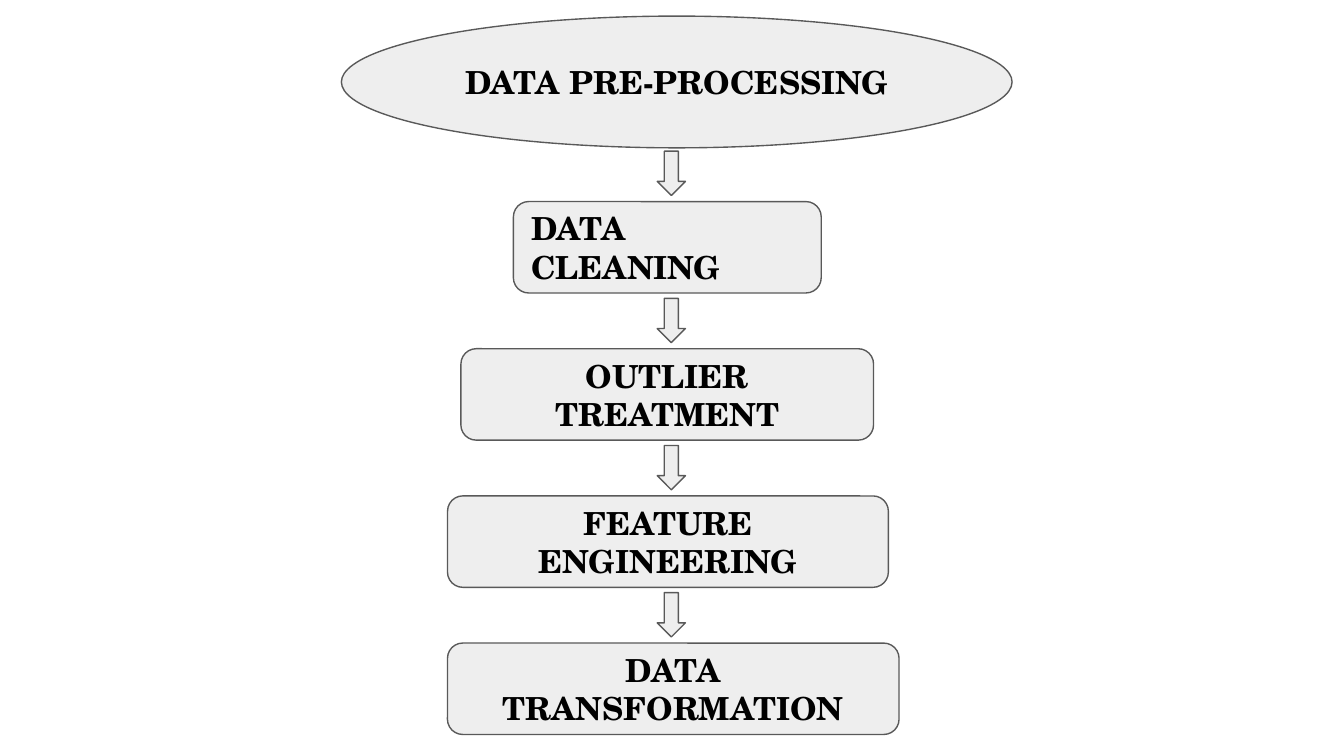
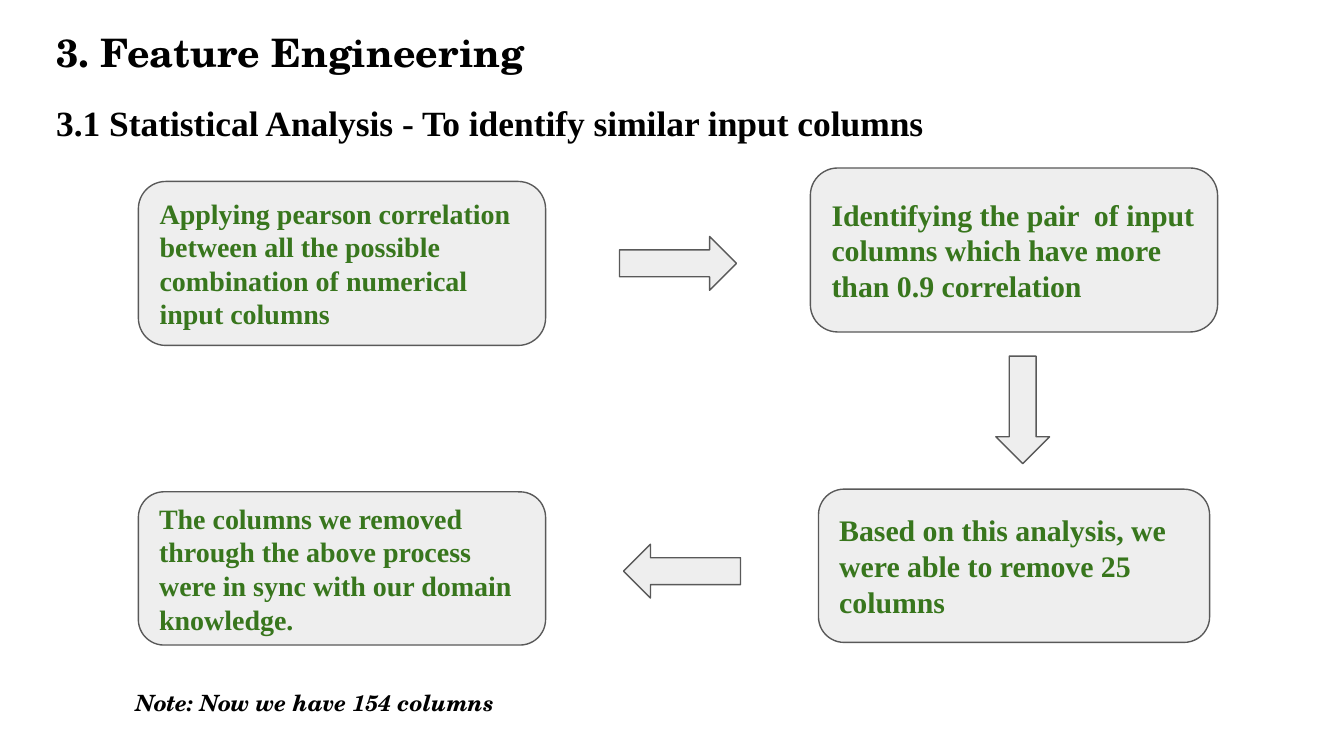
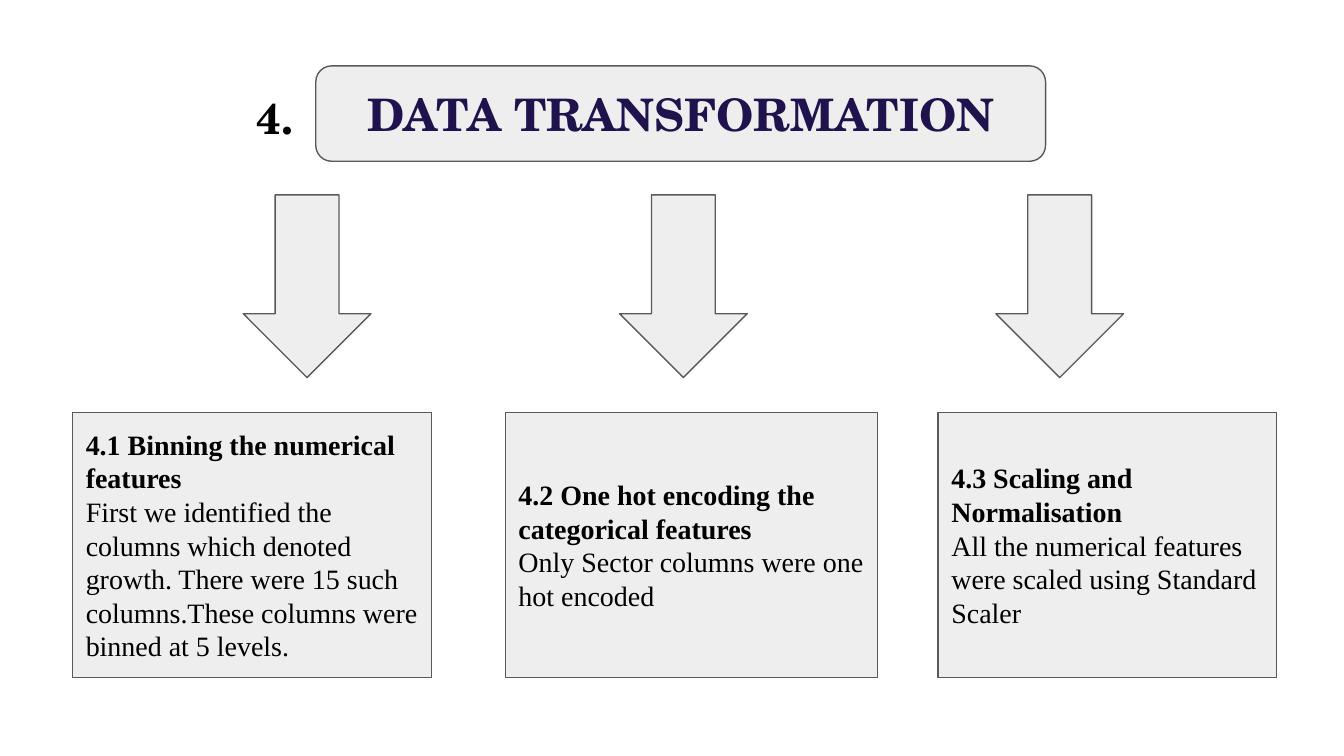
from pptx import Presentation
from pptx.dml.color import RGBColor
from pptx.enum.shapes import MSO_SHAPE as SHAPE
from pptx.enum.text import MSO_ANCHOR as ANCHOR, PP_ALIGN as ALIGN
from pptx.util import Inches, Pt

GREY = RGBColor(0xEE, 0xEE, 0xEE)
EDGE = RGBColor(0x59, 0x59, 0x59)
BLACK = RGBColor(0x00, 0x00, 0x00)
GREEN = RGBColor(0x38, 0x76, 0x1D)
NAVY = RGBColor(0x20, 0x12, 0x4D)
SCHOLA = "TeX Gyre Schola"
TIMES = "Times New Roman"

prs = Presentation()
prs.slide_width = Inches(10)
prs.slide_height = Inches(5.625)
CELL = prs.slide_width / 100
BLANK = prs.slide_layouts[6]


def box(sl, kind, *at):
    at = [round(n * CELL) for n in at]
    if kind is None:
        sp = sl.shapes.add_textbox(*at)
    else:
        sp = sl.shapes.add_shape(kind, *at)
        sp.shadow.inherit = False
        sp.fill.solid()
        sp.fill.fore_color.rgb = GREY
        sp.line.color.rgb = EDGE
        sp.line.width = Pt(0.75)
        sp.text_frame.vertical_anchor = ANCHOR.MIDDLE
    tf = sp.text_frame
    tf.word_wrap = True
    tf.margin_left = tf.margin_right = tf.margin_top = tf.margin_bottom = round(CELL)
    return tf


def write(tf, text, size, font=TIMES, color=BLACK, bold=True, italic=False,
          align=ALIGN.LEFT, before=0):
    p = tf.add_paragraph() if tf.text else tf.paragraphs[0]
    p.alignment = align
    p.space_before = Pt(before)
    r = p.add_run()
    r.text = text
    r.font.size = Pt(size)
    r.font.name = font
    r.font.color.rgb = color
    r.font.bold = bold
    r.font.italic = italic


sl = prs.slides.add_slide(BLANK)
tf = box(sl, SHAPE.OVAL, 25.4, 1.2, 49.9, 9.8)
write(tf, "DATA PRE-PROCESSING", 17, SCHOLA, align=ALIGN.CENTER)
steps = [
    ("DATA CLEANING", 38.2, 22.9, ALIGN.LEFT),
    ("OUTLIER TREATMENT", 34.3, 30.7, ALIGN.CENTER),
    ("FEATURE ENGINEERING", 33.3, 32.8, ALIGN.CENTER),
    ("DATA TRANSFORMATION", 33.3, 33.6, ALIGN.CENTER),
]
for i, (text, left, width, align) in enumerate(steps):
    top = 15 + 10.95 * i
    box(sl, SHAPE.DOWN_ARROW, 48.9, top - 3.75, 2.1, 3.3)
    tf = box(sl, SHAPE.ROUNDED_RECTANGLE, left, top, width, 6.8)
    write(tf, text, 17, SCHOLA, align=align)

sl = prs.slides.add_slide(BLANK)
tf = box(sl, None, 3.2, 1.1, 93.6, 52.3)
write(tf, "3. Feature Engineering", 21, SCHOLA)
write(tf, "3.1 Statistical Analysis - To identify similar input columns", 19, before=14)
stages = [
    ("Applying pearson correlation between all the possible combination of numerical input columns",
     15, 10.3, 13.5, 30.3, 12.2),
    ("Identifying the pair  of input columns which have more than 0.9 correlation",
     16, 60.3, 12.5, 30.3, 12.2),
    ("Based on this analysis, we were able to remove 25 columns",
     16, 60.9, 36.4, 29.1, 11.4),
    ("The columns we removed through the above process were in sync with our domain knowledge.",
     15, 10.3, 36.6, 30.3, 11.4),
]
for text, size, *at in stages:
    tf = box(sl, SHAPE.FLOWCHART_ALTERNATE_PROCESS, *at)
    write(tf, text, size, color=GREEN)
box(sl, SHAPE.RIGHT_ARROW, 46.1, 17.6, 8.7, 4)
box(sl, SHAPE.DOWN_ARROW, 74.1, 26.5, 4, 8)
box(sl, SHAPE.LEFT_ARROW, 46.4, 40.5, 8.7, 4)
tf = box(sl, None, 9.1, 50.3, 34.9, 4)
write(tf, "Note: Now we have 154 columns", 12, SCHOLA, italic=True)

sl = prs.slides.add_slide(BLANK)
tf = box(sl, SHAPE.ROUNDED_RECTANGLE, 23.5, 4.9, 54.3, 7.1)
write(tf, "DATA TRANSFORMATION", 24, SCHOLA, NAVY, align=ALIGN.CENTER)
methods = [
    ("4.1 Binning the numerical features",
     "First we identified the columns which denoted growth. There were 15 such "
     "columns.These columns were binned at 5 levels.", 5.4, 26.7),
    ("4.2 One hot encoding the categorical features",
     "Only Sector columns were one hot encoded", 37.6, 27.7),
    ("4.3 Scaling and Normalisation",
     "All the numerical features were scaled using Standard Scaler", 69.8, 25.2),
]
for i, (head, body, left, width) in enumerate(methods):
    box(sl, SHAPE.DOWN_ARROW, 18.1 + 28 * i, 14.5, 9.5, 13.6)
    tf = box(sl, SHAPE.RECTANGLE, left, 30.7, width, 19.7)
    write(tf, head, 15)
    write(tf, body, 15, bold=False)
tf = box(sl, None, 18.1, 5.8, 80.2, 9.4)
write(tf, "4.", 23, SCHOLA)

prs.save("out.pptx")
